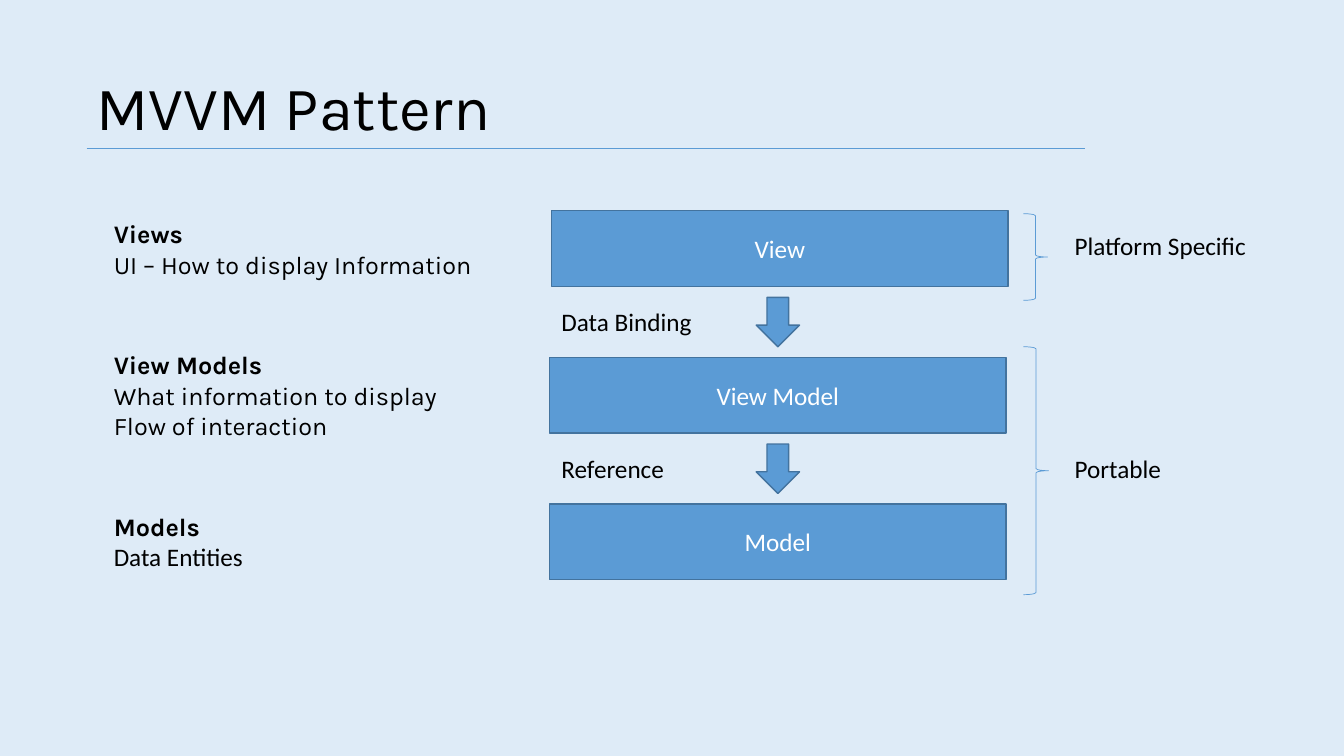
from pptx import Presentation, util as u
from pptx.dml.color import RGBColor
from pptx.enum import shapes, text
from pptx.oxml.ns import qn
from lxml import etree

BACKGROUND = RGBColor(0xDE, 0xEB, 0xF7)
BLUE = RGBColor(0x5B, 0x9B, 0xD5)
OUTLINE = RGBColor(0x43, 0x73, 0x9E)
BLACK = RGBColor(0, 0, 0)
WHITE = RGBColor(0xFF, 0xFF, 0xFF)

# Grid: one row per layer
TOP, PITCH = 2.09, 1.455
BOX_W, BOX_H = 4.53, 0.75
NOTE_X, BOX_X, BRACE_X, SIDE_X = 1.03, 5.45, 10.15, 10.56

prs = Presentation()
prs.slide_width, prs.slide_height = u.Inches(13.33), u.Inches(7.5)
s = prs.slides.add_slide(prs.slide_layouts[5])
s.background.fill.solid()
s.background.fill.fore_color.rgb = BACKGROUND


def add_shape(kind, x, y, w, h, line, width, fill=None):
    sp = s.shapes.add_shape(kind, *map(u.Inches, (x, y, w, h)))
    sp.shadow.inherit = False
    sp.line.color.rgb = line
    sp.line.width = u.Pt(width)
    if fill is None:
        sp.fill.background()
    else:
        sp.fill.solid()
        sp.fill.fore_color.rgb = fill
    return sp


def write(tf, lines, color=BLACK, size=18, align=text.PP_ALIGN.LEFT):
    """Each line is (words, font name, bold)."""
    tf.word_wrap = True
    for i, (words, font, bold) in enumerate(lines):
        p = tf.paragraphs[0] if i == 0 else tf.add_paragraph()
        p.alignment = align
        r = p.add_run()
        r.text = words
        r.font.name, r.font.bold = font, bold
        r.font.size = u.Pt(size)
        r.font.color.rgb = color


# Title and rule
title = s.shapes.title
title.left, title.top, title.width, title.height = map(u.Inches, (0.86, 0.63, 8.72, 0.84))
write(title.text_frame, [("MVVM Pattern", "Karla", False)], size=44)
rule = s.shapes.add_connector(shapes.MSO_CONNECTOR.STRAIGHT,
                              *map(u.Inches, (0.86, 1.47, 10.76, 1.47)))
rule.line.color.rgb = BLUE
rule.line.width = u.Pt(0.5)
etree.SubElement(rule._element.spPr, qn("a:effectLst"))

# Layer boxes; the first sits slightly to the right
for row, (name, shift) in enumerate([("View", 0.02), ("View Model", 0), ("Model", 0)]):
    box = add_shape(shapes.MSO_SHAPE.RECTANGLE, BOX_X + shift, TOP + row * PITCH,
                    BOX_W, BOX_H, OUTLINE, 1, BLUE)
    box.text_frame.vertical_anchor = text.MSO_ANCHOR.MIDDLE
    write(box.text_frame, [(name, "Calibri", False)], WHITE, align=text.PP_ALIGN.CENTER)

# Arrows between the layers
for gap in range(2):
    add_shape(shapes.MSO_SHAPE.DOWN_ARROW, 7.5, 2.95 + gap * PITCH, 0.43, 0.49,
              OUTLINE, 1, BLUE)

# Braces
for y, w, h in [(2.12, 0.24, 0.86), (3.44, 0.25, 2.46)]:
    add_shape(shapes.MSO_SHAPE.RIGHT_BRACE, BRACE_X, y, w, h, BLUE, 0.5)

# Labels and layer descriptions
texts = [
    (SIDE_X, 2.24, 2.07, 0.4, [("Platform Specific", "Calibri", False)]),
    (SIDE_X, 4.45, 2.07, 0.4, [("Portable", "Calibri", False)]),
    (5.47, 2.99, 3.08, 0.4, [("Data Binding", "Calibri", False)]),
    (5.47, 4.45, 3.08, 0.4, [("Reference", "Calibri", False)]),
    (NOTE_X, 2.12, 3.82, 0.71, [("Views", "Karla", True),
                                ("UI – How to display Information", "Karla", False)]),
    (NOTE_X, 3.42, 3.82, 1.01, [("View Models", "Karla", True),
                                ("What information to display", "Karla", False),
                                ("Flow of interaction", "Karla", False)]),
    (NOTE_X, 5.02, 3.82, 0.71, [("Models", "Karla", True),
                                ("Data Entities", "Calibri", False)]),
]
for x, y, w, h, lines in texts:
    tb = s.shapes.add_textbox(*map(u.Inches, (x, y, w, h)))
    tb.text_frame.auto_size = text.MSO_AUTO_SIZE.SHAPE_TO_FIT_TEXT
    write(tb.text_frame, lines)

prs.save("out.pptx")
